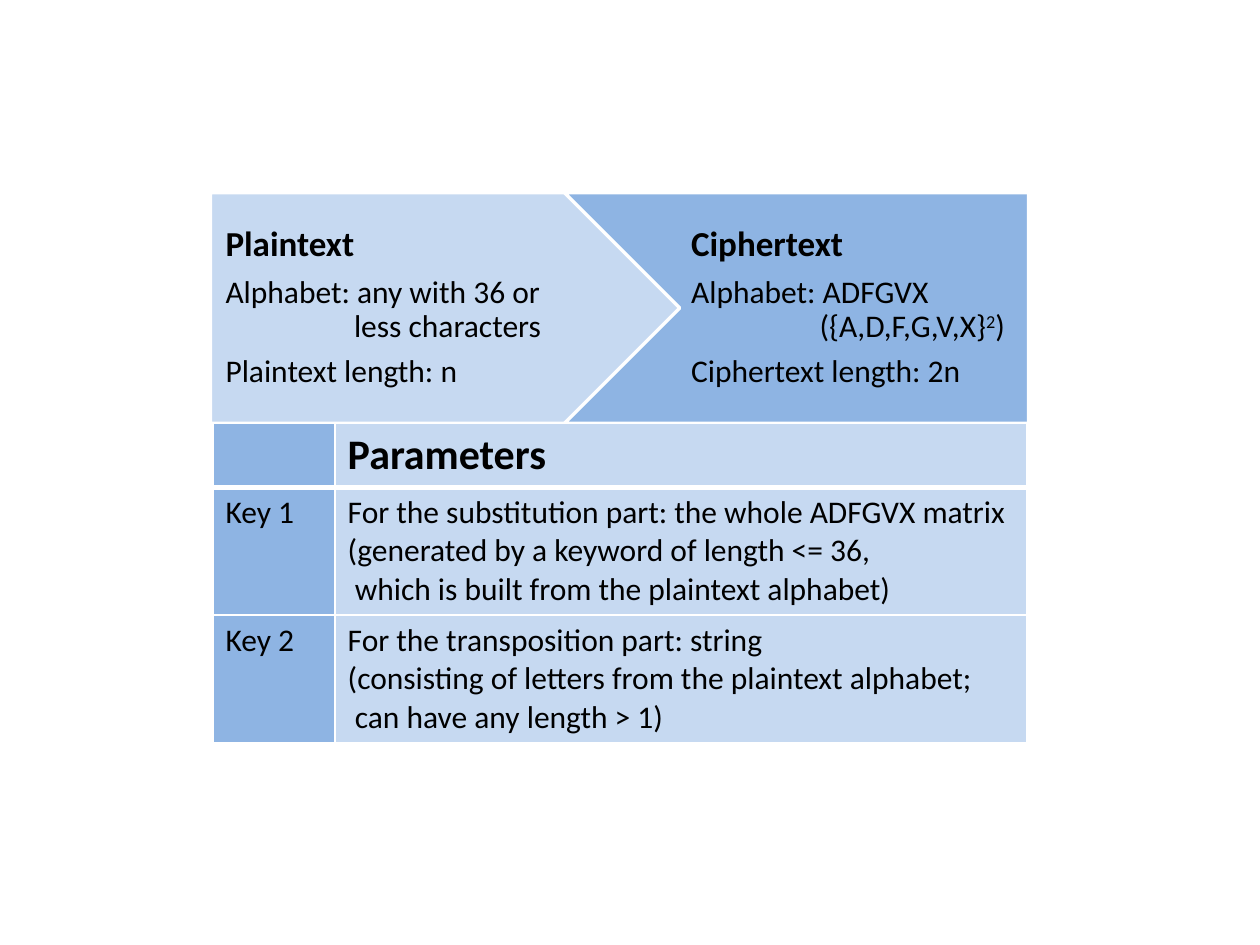
"""Build the ADFGVX cipher slide: plaintext to ciphertext arrows above a key table."""
from lxml.etree import SubElement
from pptx import Presentation
from pptx.dml.color import RGBColor
from pptx.enum.shapes import MSO_SHAPE as SHAPE
from pptx.enum.text import MSO_ANCHOR as ANCHOR, PP_ALIGN as ALIGN
from pptx.oxml.ns import qn
from pptx.util import Inches, Pt

LIGHT = RGBColor(0xC6, 0xD9, 0xF1)
BLUE = RGBColor(0x8E, 0xB4, 0xE3)
WHITE = RGBColor(0xFF, 0xFF, 0xFF)
BLACK = RGBColor(0, 0, 0)

TOP, ARROW_H = 1.53, 1.83
TABLE_LEFT, TABLE_TOP = 1.69, TOP + ARROW_H
COLS, ROWS = (0.97, 5.49), (0.5, 1.01, 1.01)
RIGHT = TABLE_LEFT + sum(COLS)
HANG = 1.02


def write(p, text, size=18, bold=False, raised=False):
    for i, line in enumerate(text.split("\n")):
        if i:
            p.add_line_break()
        r = p.add_run()
        r.text = line
        r.font.name, r.font.size, r.font.bold = "Calibri", Pt(size), bold
        r.font.color.rgb = BLACK
        if raised:
            r.font._element.set("baseline", "30000")


def add_block(kind, left, top, width, height, fill):
    sp = s.shapes.add_shape(kind, *map(Inches, (left, top, width, height)))
    sp.shadow.inherit = False
    sp.fill.solid()
    sp.fill.fore_color.rgb = fill
    sp.line.color.rgb = WHITE
    sp.line.width = Pt(2)
    return sp


prs = Presentation()
prs.slide_width, prs.slide_height = Inches(10), Inches(7.5)
s = prs.slides.add_slide(prs.slide_layouts[6])

arrows = [
    (SHAPE.PENTAGON, 1.67, 3.94, LIGHT, 0.12, "Plaintext",
     [("Alphabet: any with 36 or\nless characters", False)], "Plaintext length: n"),
    (SHAPE.CHEVRON, 4.48, 4.61, BLUE, 0.09, "Ciphertext",
     [("Alphabet: ADFGVX\n({A,D,F,G,V,X}", False), ("2", True), (")", False)],
     "Ciphertext length: 2n"),
]
for kind, left, width, fill, inset, title, alphabet, length in arrows:
    sp = add_block(kind, left, TOP, width, ARROW_H, fill)
    sp.adjustments[0] = 0.5
    tf = sp.text_frame
    tf.word_wrap = True
    tf.vertical_anchor = ANCHOR.MIDDLE
    tf.margin_left, tf.margin_right = Inches(inset), Inches(0.03)
    tf.margin_top = tf.margin_bottom = Inches(0.06)
    for i, parts in enumerate(([(title, False)], alphabet, [(length, False)])):
        p = tf.add_paragraph() if i else tf.paragraphs[0]
        p.alignment = ALIGN.LEFT
        p.line_spacing = 0.9
        p.space_after = Pt(6.3 if i else 7)
        if parts is alphabet:
            pPr = p._p.get_or_add_pPr()
            pPr.set("marL", str(Inches(HANG)))
            pPr.set("indent", str(-Inches(HANG)))
        for text, raised in parts:
            write(p, text, size=18 if i else 20, bold=not i, raised=raised)

mask = add_block(SHAPE.RECTANGLE, RIGHT, 1.15, 0.94, 2.44, WHITE)
mask.line.fill.background()

cells = [
    ("", "Parameters"),
    ("Key 1", "For the substitution part: the whole ADFGVX matrix\n"
              "(generated by a keyword of length <= 36,\n"
              " which is built from the plaintext alphabet)"),
    ("Key 2", "For the transposition part: string\n"
              "(consisting of letters from the plaintext alphabet;\n"
              " can have any length > 1)"),
]
table = s.shapes.add_table(len(ROWS), len(COLS), *map(
    Inches, (TABLE_LEFT, TABLE_TOP, sum(COLS), sum(ROWS)))).table
for column, width in zip(table.columns, COLS):
    column.width = Inches(width)
for i, (height, texts) in enumerate(zip(ROWS, cells)):
    table.rows[i].height = Inches(height)
    for j, text in enumerate(texts):
        cell = table.cell(i, j)
        if text:
            write(cell.text_frame.paragraphs[0], text, size=18 if i else 24, bold=not i)
        tcPr = cell._tc.get_or_add_tcPr()
        for side in ("lnL", "lnR", "lnT", "lnB"):
            heavy = (i, side) in ((0, "lnB"), (1, "lnT"))
            ln = SubElement(tcPr, qn("a:" + side), w=str(Pt(3 if heavy else 0.96)))
            SubElement(SubElement(ln, qn("a:solidFill")), qn("a:srgbClr"), val=str(WHITE))
        cell.fill.solid()
        cell.fill.fore_color.rgb = LIGHT if j else BLUE

prs.save("out.pptx")
